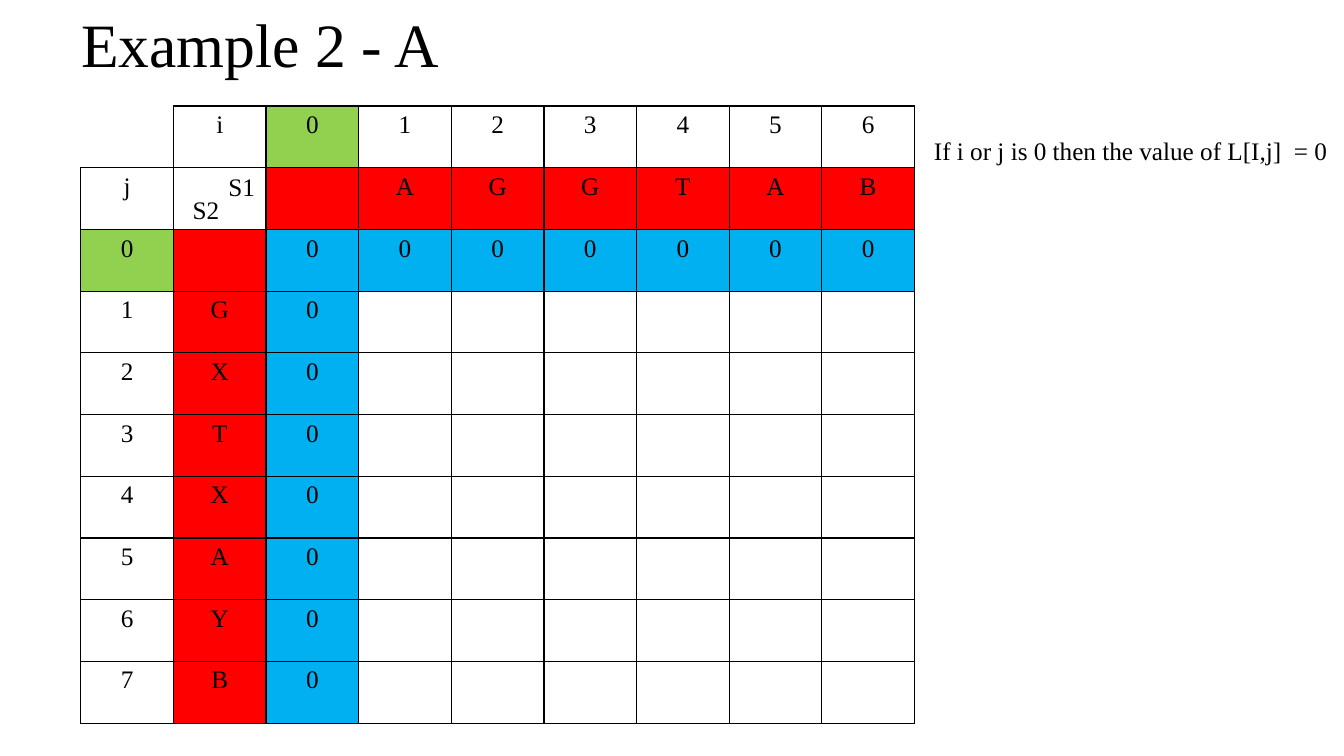
from pptx import Presentation
from pptx.dml.color import RGBColor
from pptx.enum.text import MSO_ANCHOR as ANCHOR, PP_ALIGN as ALIGN
from pptx.oxml import parse_xml
from pptx.oxml.ns import nsdecls
from pptx.util import Pt

PX = 9525  # EMU per px
FONT = "Times New Roman"
BLACK, WHITE, GREEN, RED, BLUE = "000000", "FFFFFF", "92D050", "FF0000", "00B0F0"
S1, S2 = "AGGTAB", "GXTXAYB"


def rgb(value):
    return RGBColor.from_string(value)


def emu(*lengths):
    return [n * PX for n in lengths]


def write(tf, text, size=18, color=BLACK, align=ALIGN.LEFT, spacing=None):
    p = tf.paragraphs[0]
    p.alignment = align
    if spacing:
        p.line_spacing = spacing
    r = p.add_run()
    r.text = text
    r.font.size = Pt(size)
    r.font.name = FONT
    r.font.color.rgb = rgb(color)


def add_text(slide, box, text, anchor=ANCHOR.TOP, **style):
    tf = slide.shapes.add_textbox(*emu(*box)).text_frame
    tf.word_wrap = True
    tf.vertical_anchor = anchor
    write(tf, text, **style)


def set_borders(cell, sides):
    """Draw a black line on the given sides and none on the others."""
    tc_pr = cell._tc.get_or_add_tcPr()
    for index, side in enumerate("LRTB"):
        if side in sides:
            line = f'<a:solidFill><a:srgbClr val="{BLACK}"/></a:solidFill>'
        else:
            line = "<a:noFill/>"
        xml = f'<a:ln{side} {nsdecls("a")} w="{Pt(1)}">{line}</a:ln{side}>'
        tc_pr.insert(index, parse_xml(xml))


def grid_values():
    """Index and letter headings, then zeros in the base row and column."""
    rows = [["", "i", *map(str, range(len(S1) + 1))],
            ["j", "", "", *S1],
            ["0", "", *"0" * (len(S1) + 1)]]
    for j, letter in enumerate(S2, 1):
        rows.append([str(j), letter, "0"] + [""] * len(S1))
    return rows


def cell_color(row, col):
    if (row, col) in ((0, 2), (2, 0)):
        return GREEN
    if min(row, col) == 1 and max(row, col) > 1:
        return RED
    return BLUE if min(row, col) == 2 else WHITE


def add_grid(slide, box):
    x, y, w, h = box
    values = grid_values()
    n_rows, n_cols = len(values), len(values[0])
    table = slide.shapes.add_table(n_rows, n_cols, *emu(*box)).table
    for column in table.columns:
        column.width = w * PX // n_cols
    for row in table.rows:
        row.height = h * PX // n_rows
    for i, row in enumerate(values):
        for j, text in enumerate(row):
            cell = table.cell(i, j)
            cell.fill.solid()
            cell.fill.fore_color.rgb = rgb(cell_color(i, j))
            set_borders(cell, "LRTB" if i or j else "RB")
            if text:
                write(cell.text_frame, text, align=ALIGN.CENTER)
    # Names of the two strings in the corner cell
    add_text(slide, (x + 131, y + 57, 60, 38), "S1")
    add_text(slide, (x + 97, y + 79, 60, 38), "S2")


def build_slide(prs):
    slide = prs.slides.add_slide(prs.slide_layouts[6])
    # Title
    add_text(slide, (68, 3, 991, 85), "Example 2 - A", anchor=ANCHOR.MIDDLE,
             size=44, spacing=0.9)
    # Table of subsequence lengths
    add_grid(slide, (77, 101, 794, 588))
    # Rule beside the table
    add_text(slide, (880, 124, 400, 38),
             "If i or j is 0 then the value of L[I,j]  = 0")


def main():
    prs = Presentation()
    prs.slide_width, prs.slide_height = emu(1280, 720)
    build_slide(prs)
    prs.save("out.pptx")


if __name__ == "__main__":
    main()
